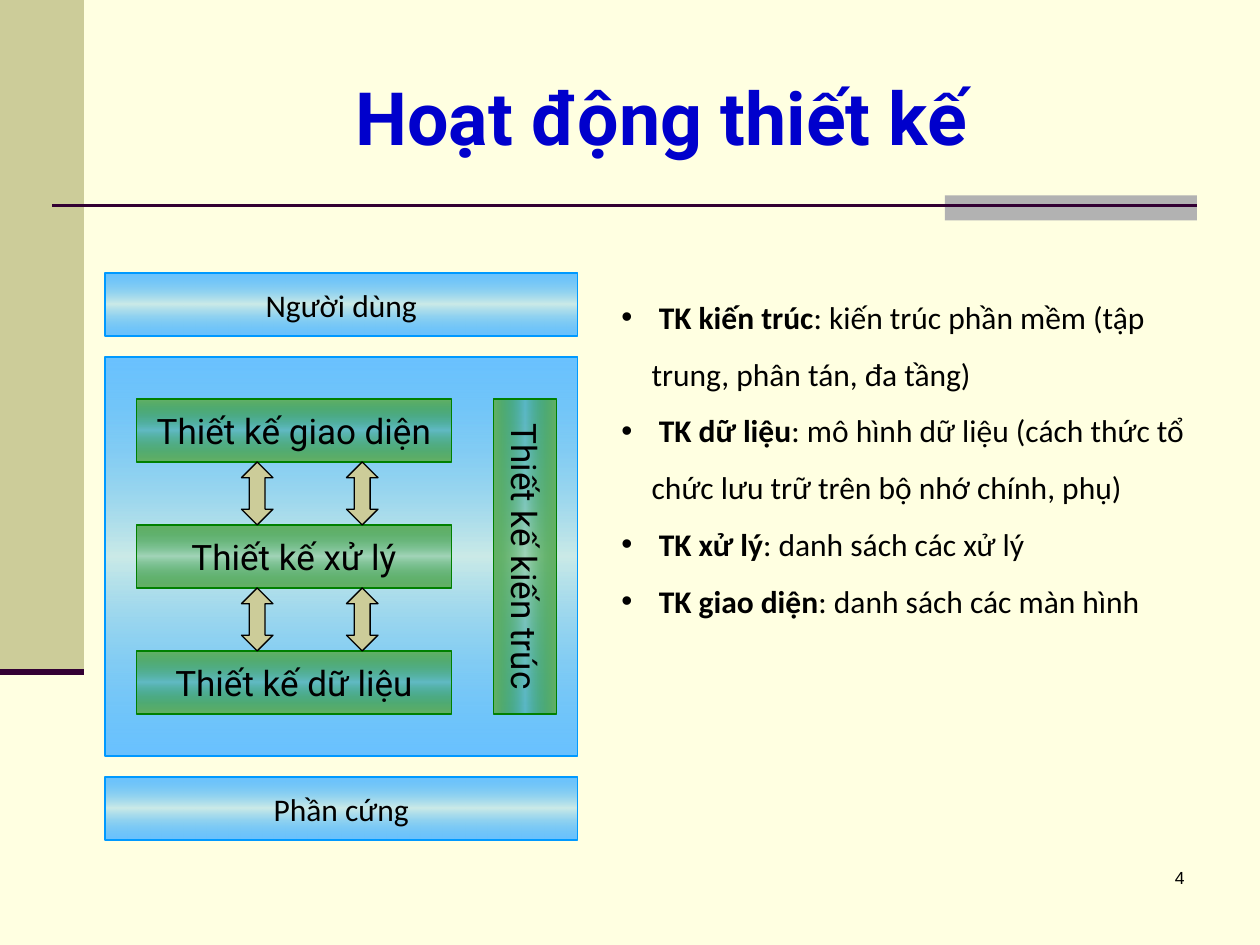
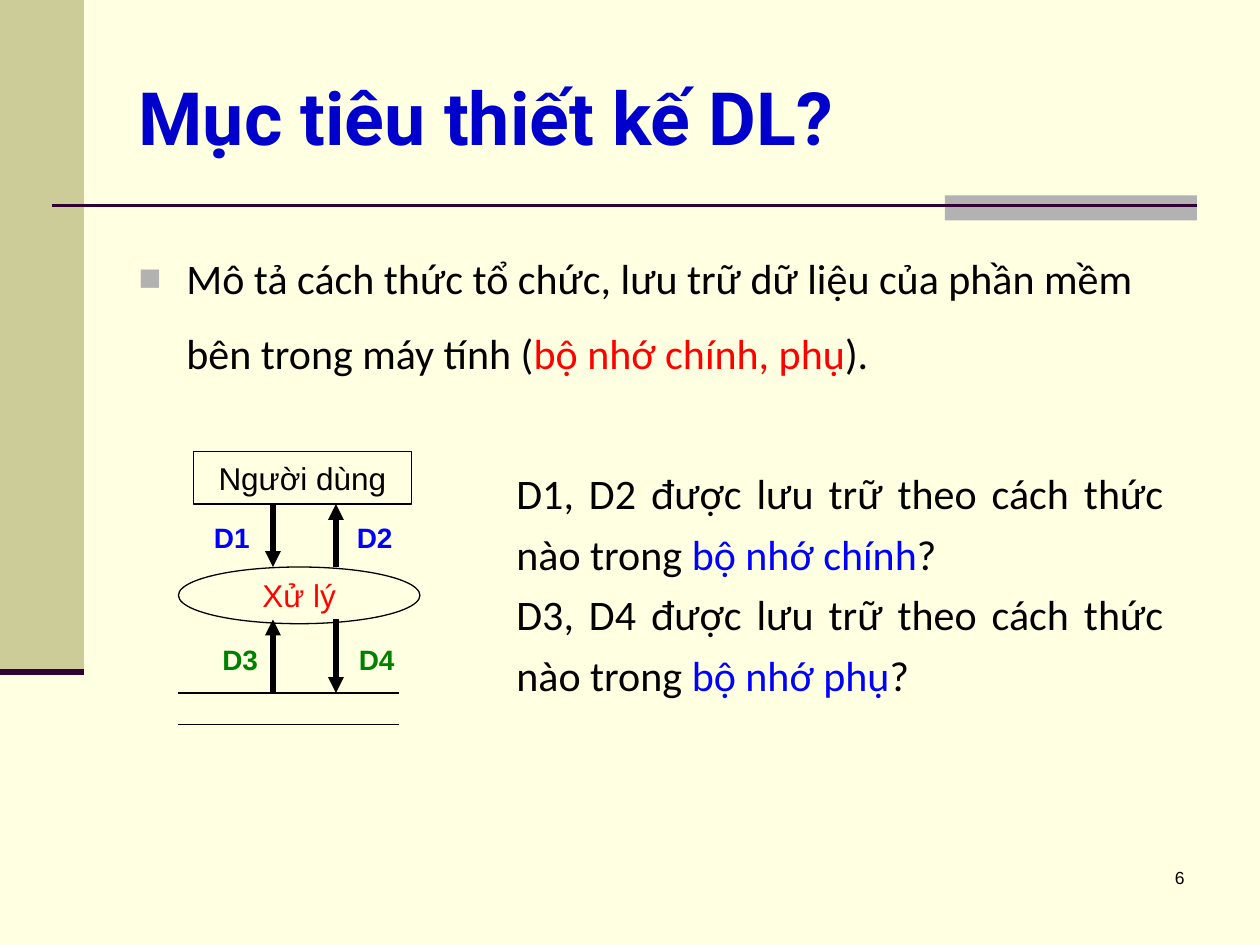
from pptx import Presentation
from pptx.dml.color import RGBColor
from pptx.enum.shapes import MSO_CONNECTOR, MSO_SHAPE as Preset
from pptx.enum.text import MSO_ANCHOR as Anchor, MSO_AUTO_SIZE as AutoSize, PP_ALIGN as Align
from pptx.oxml import parse_xml
from pptx.oxml.ns import nsdecls, qn
from pptx.util import Inches, Pt

WIDTH, HEIGHT = Inches(10), Inches(7.5)
COLUMNS, ROWS = 120, 90

CREAM, SAND, GREY, PLUM = "FFFFE1", "CCCC99", "B2B2B2", "330033"
BLACK, RED, BLUE, TITLE_BLUE = "000000", "FF0000", "0000FF", "0000CC"
SKY, PALE_SKY = "0099FF", "6BC2FF"
GREEN, PALE_GREEN = "008000", "66B266"


def color(code):
    """Turn a hex string into a colour."""
    return RGBColor.from_string(code)


def across(columns):
    """Length of a number of grid columns."""
    return round(WIDTH * columns / COLUMNS)


def down(rows):
    """Length of a number of grid rows."""
    return round(HEIGHT * rows / ROWS)


def cell(left, top, width, height):
    """Turn a grid area into a position and a size."""
    return across(left), down(top), across(width), down(height)


def place(shape, area):
    """Move a placeholder to a grid area."""
    shape.left, shape.top, shape.width, shape.height = cell(*area)


def write(box, *lines, size=18, font="Calibri", ink=BLACK, bold=False, align=Align.LEFT,
          anchor=Anchor.TOP, wrap=True, spacing=None, before=0, bullet=None):
    """Fill a box; each line is a string or a list of (text, format changes)."""
    frame = box.text_frame
    frame.auto_size = AutoSize.NONE
    frame.word_wrap = wrap
    frame.vertical_anchor = anchor
    for index, line in enumerate(lines):
        para = frame.paragraphs[0] if index == 0 else frame.add_paragraph()
        para.alignment = align
        para.space_before = Pt(before)
        if spacing:
            para.line_spacing = spacing
        if bullet:
            add_bullet(para, **bullet)
        for text, changes in ([(line, {})] if isinstance(line, str) else line):
            span = para.add_run()
            span.text = text
            span.font.name = font
            span.font.size = Pt(size)
            span.font.bold = changes.get("bold", bold)
            span.font.color.rgb = color(changes.get("ink", ink))


def add_bullet(para, mark, indent, ink=BLACK, percent=100):
    """Give a paragraph a hanging bullet."""
    properties = para._p.get_or_add_pPr()
    properties.set("marL", str(Inches(indent)))
    properties.set("indent", str(-Inches(indent)))
    for tag in (f'<a:buClr {nsdecls("a")}><a:srgbClr val="{ink}"/></a:buClr>',
                f'<a:buSzPct {nsdecls("a")} val="{percent * 1000}"/>',
                f'<a:buFont {nsdecls("a")} typeface="Arial"/>',
                f'<a:buChar {nsdecls("a")} char="{mark}"/>'):
        properties.append(parse_xml(tag))


def add_label(shapes, area, *lines, **style):
    """Add a text box on the grid."""
    box = shapes.add_textbox(*cell(*area))
    write(box, *lines, **style)
    return box


def add_block(shapes, preset, area, fill=None, line=None, text=None, **style):
    """Add a preset shape, with centred text if there is any."""
    block = shapes.add_shape(preset, *cell(*area))
    block.shadow.inherit = False
    if fill:
        block.fill.solid()
        block.fill.fore_color.rgb = color(fill)
    else:
        block.fill.background()
    if line:
        block.line.color.rgb = color(line)
        block.line.width = Pt(0.75)
    else:
        block.line.fill.background()
    if text:
        write(block, text, align=Align.CENTER, anchor=Anchor.MIDDLE, wrap=False, **style)
    return block


def add_glow_block(shapes, area, edge, middle, text=None, **style):
    """Add a rectangle whose gradient turns transparent in the middle."""
    block = add_block(shapes, Preset.RECTANGLE, area, line=middle, text=text, **style)
    gradient = parse_xml(
        f'<a:gradFill {nsdecls("a")} rotWithShape="1"><a:gsLst>'
        f'<a:gs pos="0"><a:srgbClr val="{edge}"/></a:gs>'
        f'<a:gs pos="50000"><a:srgbClr val="{middle}"><a:alpha val="20000"/></a:srgbClr></a:gs>'
        f'<a:gs pos="100000"><a:srgbClr val="{edge}"/></a:gs>'
        '</a:gsLst><a:lin ang="5400000" scaled="1"/></a:gradFill>')
    properties = block.element.spPr
    properties.replace(properties.find(qn("a:noFill")), gradient)
    return block


def add_line(shapes, start, end, ink=BLACK, width=0.75, arrow=False):
    """Add a straight line between two grid points."""
    line = shapes.add_connector(MSO_CONNECTOR.STRAIGHT, across(start[0]), down(start[1]),
                                across(end[0]), down(end[1]))
    line.line.color.rgb = color(ink)
    line.line.width = Pt(width)
    properties = line.element.spPr
    if arrow:
        properties.find(qn("a:ln")).append(
            parse_xml(f'<a:tailEnd {nsdecls("a")} type="triangle"/>'))
    properties.append(parse_xml(f'<a:effectLst {nsdecls("a")}/>'))


def add_page(deck, layout, title, number, align=Align.LEFT):
    """Add a slide with the shared bands, rules, title and number."""
    page = deck.slides.add_slide(deck.slide_layouts.get_by_name(layout))
    shapes = page.shapes
    add_block(shapes, Preset.RECTANGLE, (0, 0, 8, 64), fill=SAND)
    add_block(shapes, Preset.RECTANGLE, (90, 18.6, 24, 2.4), fill=GREY)
    add_line(shapes, (5, 19.6), (114, 19.6), PLUM, 1.5)
    add_line(shapes, (0, 64), (8, 64), PLUM, 3.5)
    place(shapes.title, (12, 3.6, 102, 15))
    write(shapes.title, title, size=42, font="Roboto", ink=TITLE_BLUE, bold=True,
          align=align, anchor=Anchor.MIDDLE)
    add_label(shapes, (89, 82, 25, 6), str(number), size=10, font="Arial", align=Align.RIGHT)
    return page


def build_activities(deck):
    """Design activities: the layers and what each design covers."""
    shapes = add_page(deck, "Title Only", "Hoạt động thiết kế", 4, Align.CENTER).shapes
    for top, name in ((26, "Người dùng"), (74, "Phần cứng")):
        add_glow_block(shapes, (10, top, 45, 6), PALE_SKY, SKY, name)
    add_glow_block(shapes, (10, 34, 45, 38), PALE_SKY, SKY)

    green = dict(edge=PALE_GREEN, middle=GREEN, size=20, font="Roboto")
    pillar = add_glow_block(shapes, (35, 50, 30, 6), text="Thiết kế kiến trúc", **green)
    pillar.rotation = 90
    for step, name in enumerate(("giao diện", "xử lý", "dữ liệu")):
        add_glow_block(shapes, (13, 38 + 12 * step, 30, 6), text=f"Thiết kế {name}", **green)
    for left in (23, 33):
        for top in (44, 56):
            add_block(shapes, Preset.UP_DOWN_ARROW, (left, top, 3, 6), fill=SAND, line=BLACK)

    designs = (
        ("TK kiến trúc", "kiến trúc phần mềm (tập trung, phân tán, đa tầng)"),
        ("TK dữ liệu", "mô hình dữ liệu (cách thức tổ chức lưu trữ trên bộ nhớ chính, phụ)"),
        ("TK xử lý", "danh sách các xử lý"),
        ("TK giao diện", "danh sách các màn hình"),
    )
    lines = [[(f" {name}", {"bold": True}), (f": {meaning}", {})] for name, meaning in designs]
    add_label(shapes, (58, 26, 58, 34), *lines, spacing=1.5,
              bullet=dict(mark="•", indent=0.24))


def add_data_flow(shapes):
    """Draw the flows between user, processing and storage."""
    user_bottom, process_top, process_bottom, store_top = 48, 54, 59, 66
    down_column, up_column = 26, 32
    add_block(shapes, Preset.RECTANGLE, (18.4, 43, 20.8, 5), line=BLACK,
              text="Người dùng", font="Arial")
    for row in (store_top, store_top + 3):
        add_line(shapes, (17, row), (38, row))
    flows = ((down_column, user_bottom, process_top), (up_column, process_top, user_bottom),
             (down_column, store_top, process_bottom), (up_column, process_bottom, store_top))
    for column, start, end in flows:
        add_line(shapes, (column, start), (column, end), width=3, arrow=True)
    labels = (("D1", 19.2, 49, BLUE), ("D2", 32.8, 49, BLUE),
              ("D3", 20, 60.6, GREEN), ("D4", 33, 60.6, GREEN))
    for name, left, top, ink in labels:
        add_label(shapes, (left, top, 5.8, 4.4), name, size=16, font="Arial", ink=ink,
                  bold=True, wrap=False)
    add_block(shapes, Preset.OVAL, (17, process_top, 23, 5.4), line=BLACK,
              text="Xử lý", font="Arial", ink="FF0303")


def build_goals(deck):
    """Goals of data design: the aim, the flows and two questions."""
    page = add_page(deck, "Title and Content", "Mục tiêu thiết kế DL?", 6)
    body = page.placeholders[1]
    place(body, (12, 21, 102, 59.4))
    write(body, [("Mô tả cách thức tổ chức, lưu trữ dữ liệu của phần mềm bên trong máy tính (", {}),
                 ("bộ nhớ chính, phụ", {"ink": RED}), (").", {})],
          size=24, spacing=1.5, before=4.8,
          bullet=dict(mark="■", indent=0.38, ink=GREY, percent=90))
    add_data_flow(page.shapes.add_group_shape().shapes)
    questions = [[(f"{flows} được lưu trữ theo cách thức nào trong ", {}),
                  (f"bộ nhớ {memory}", {"ink": BLUE}), ("?", {})]
                 for flows, memory in (("D1, D2", "chính"), ("D3, D4", "phụ"))]
    add_label(page.shapes, (48, 43, 64, 24.5), *questions, size=24, spacing=1.2,
              align=Align.JUSTIFY)


def main():
    """Build and save the deck."""
    deck = Presentation()
    deck.slide_width, deck.slide_height = WIDTH, HEIGHT
    background = deck.slide_master.background.fill
    background.solid()
    background.fore_color.rgb = color(CREAM)
    build_activities(deck)
    build_goals(deck)
    deck.save("out.pptx")


main()
